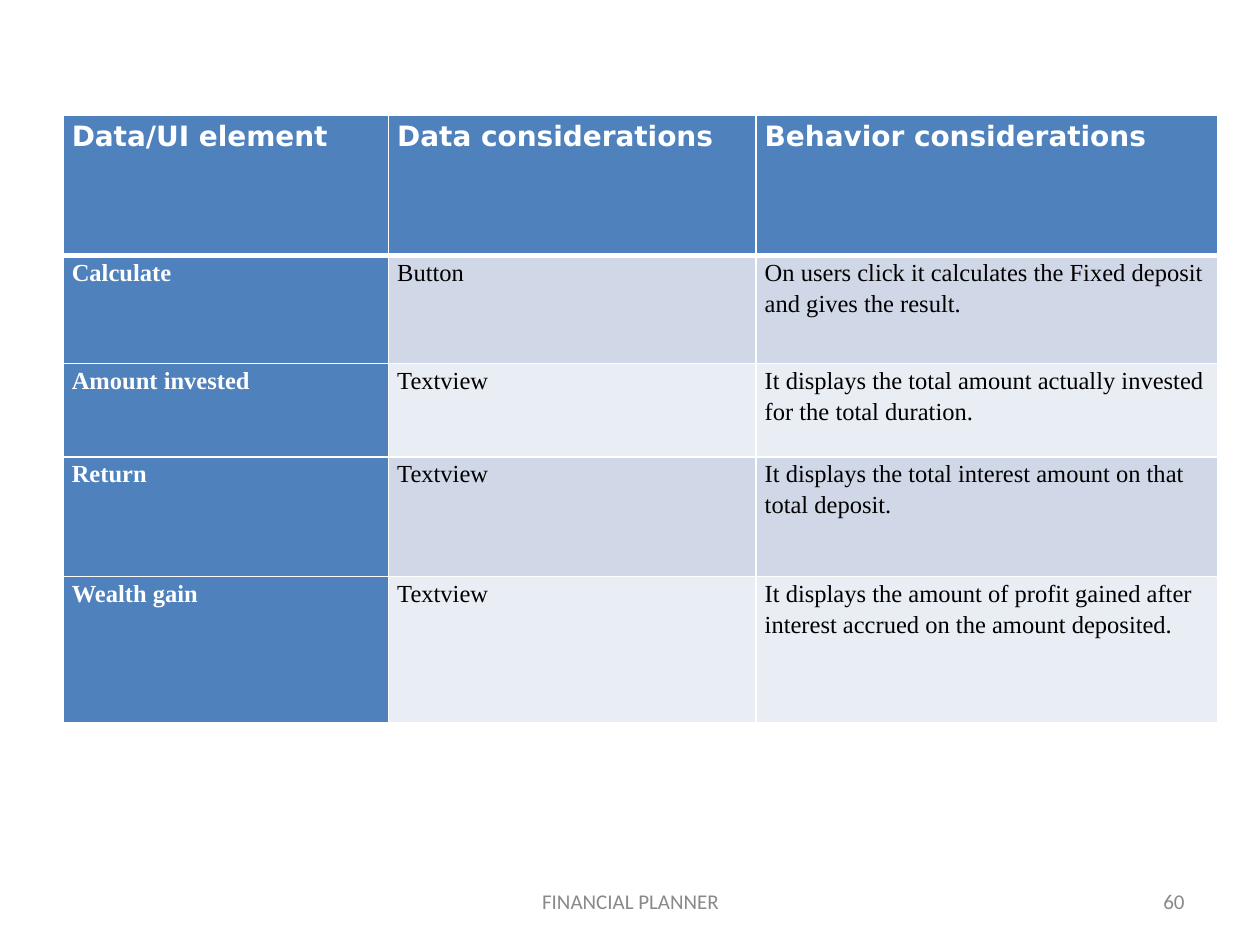
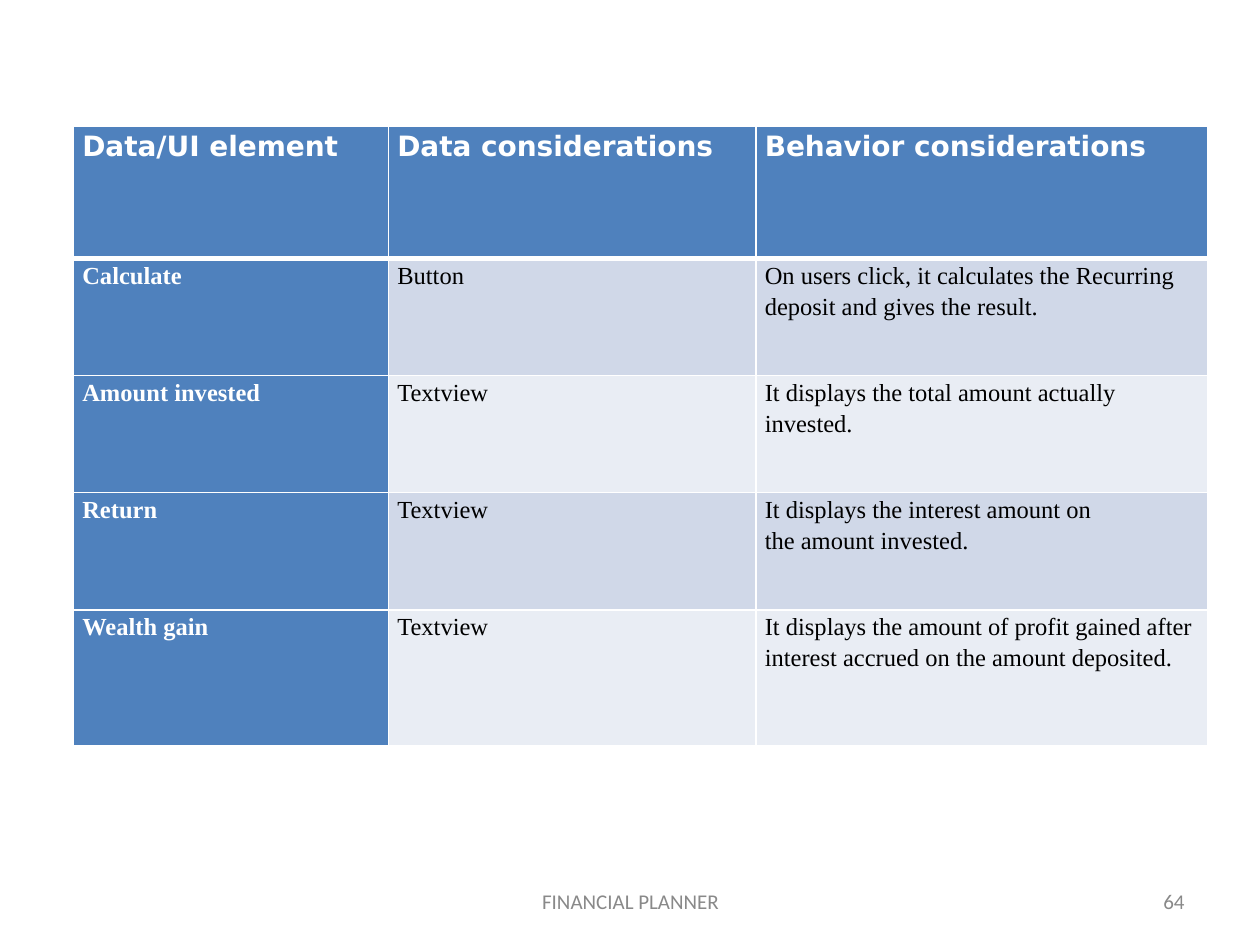
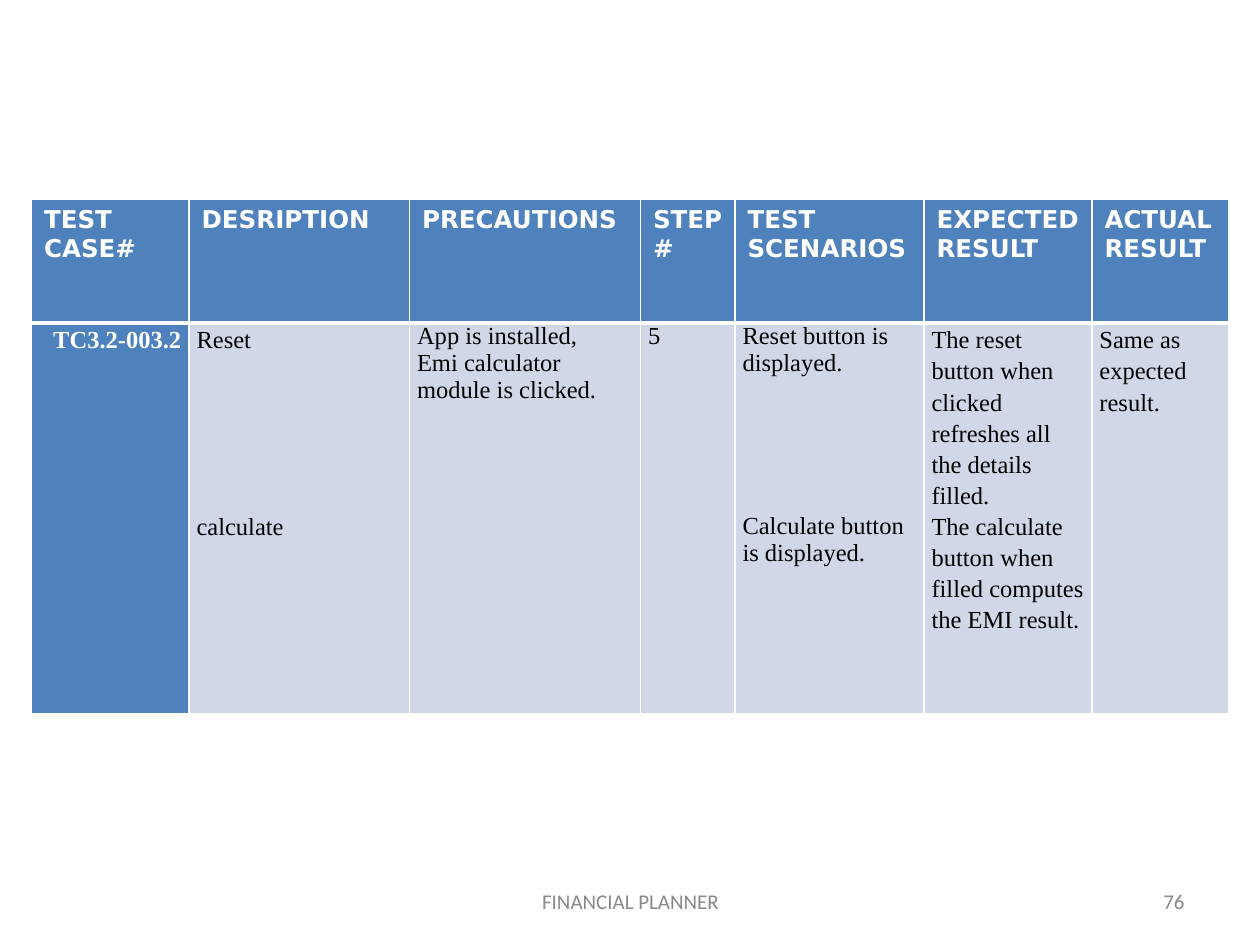
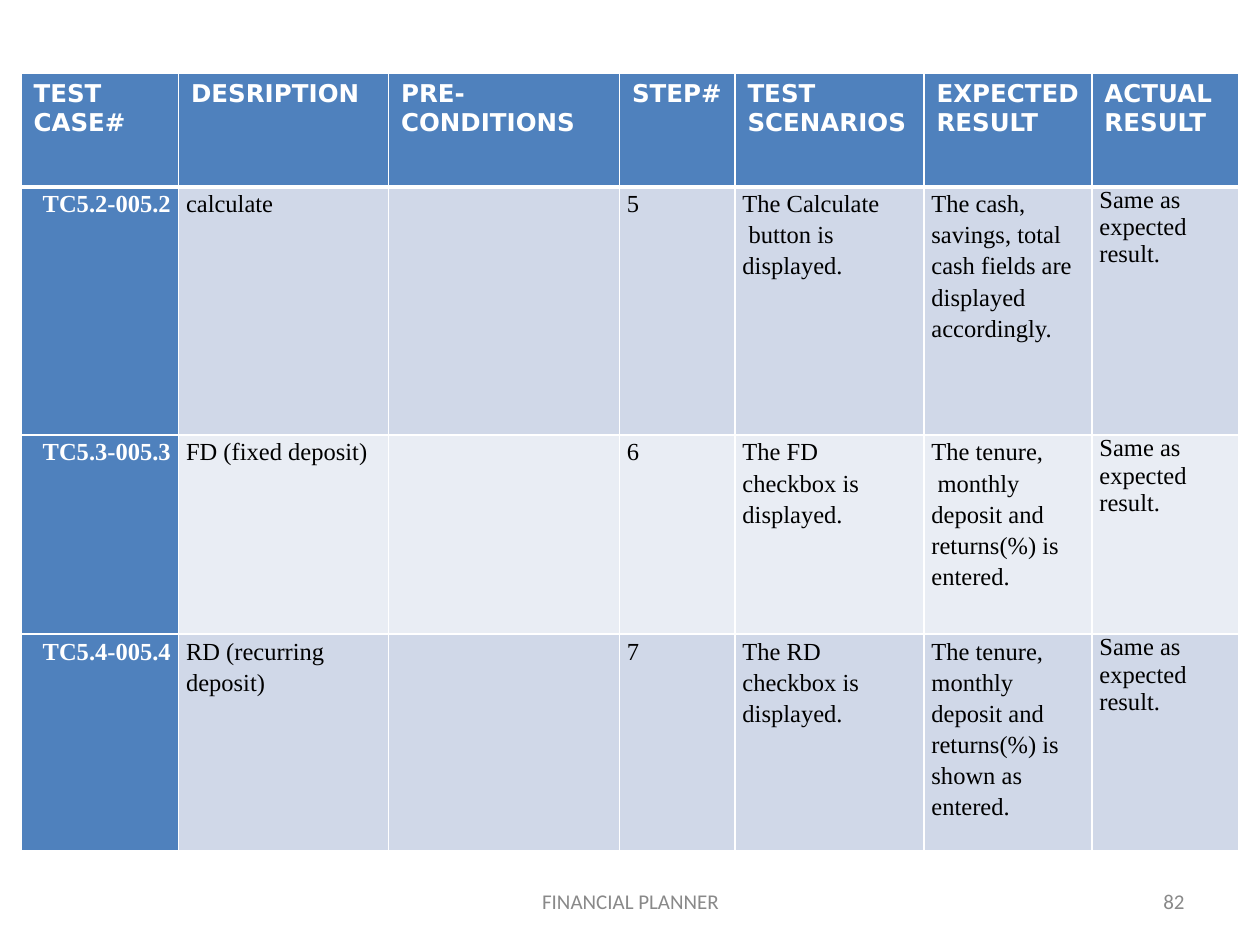
from lxml import etree
from pptx import Presentation
from pptx.dml.color import RGBColor
from pptx.enum.text import MSO_ANCHOR, PP_ALIGN
from pptx.oxml.ns import qn
from pptx.util import Inches, Pt

LEFT, CENTER, RIGHT = PP_ALIGN.LEFT, PP_ALIGN.CENTER, PP_ALIGN.RIGHT
MIDDLE = MSO_ANCHOR.MIDDLE

# Shared look
BLUE = RGBColor(0x4F, 0x81, 0xBD)
BAND_DARK = RGBColor(0xD0, 0xD8, 0xE8)
BAND_LIGHT = RGBColor(0xE9, 0xED, 0xF4)
WHITE = RGBColor(0xFF, 0xFF, 0xFF)
BLACK = RGBColor(0, 0, 0)
GRAY = RGBColor(0x89, 0x89, 0x89)

HEAD_FONT = {"name": "DejaVu Sans", "bold": True, "color": WHITE}
KEY_FONT = {"name": "Times New Roman", "size": Pt(14), "bold": True, "color": WHITE}
BODY_FONT = KEY_FONT | {"bold": False, "color": BLACK}
FOOTER_FONT = {"name": "Calibri", "size": Pt(12), "color": GRAY}

UNIT = Inches(1) / 12  # grid step for table places and columns
LOOSE = 1.15
LINE_HEIGHT = 15.5  # points taken by one 14 pt body line
FOOTER = "FINANCIAL PLANNER"

# Table kinds: inner margins, header size and key column alignment
ELEMENTS = {"margin": 0.07, "head_size": 16, "key_align": LEFT, "tight_head": True}
TESTS = {"margin": 0.06, "head_size": 14, "key_align": RIGHT, "tight_head": False}

ELEMENT_HEADS = ["Data/UI element", "Data considerations", "Behavior considerations"]
TEST_HEADS = ["STEP#", "TEST SCENARIOS", "EXPECTED RESULT", "ACTUAL RESULT"]
PROFIT = "It displays the amount of profit gained after"
ACCRUED = "interest accrued on the amount deposited."
SAME = "Same as expected result."

# Content: a list in a cell holds its paragraphs, a number in it skips lines.
# "place" and "cols" are in grid steps, "rows" in inches.
PAGES = [
    {
        "number": 60, "kind": ELEMENTS, "place": (6, 11),
        "cols": [31, 35, 44], "rows": [1.11, 0.86, 0.74, 0.95, 1.16],
        "single_spaced": [],
        "cells": [
            ELEMENT_HEADS,
            ["Calculate", "Button",
             "On users click it calculates the Fixed deposit and gives the result."],
            ["Amount invested", "Textview",
             "It displays the total amount actually invested for the total duration."],
            ["Return", "Textview",
             ["It displays the total interest amount on that", "total deposit."]],
            ["Wealth gain", "Textview", [PROFIT, ACCRUED]],
        ],
    },
    {
        "number": 64, "kind": ELEMENTS, "place": (7, 12),
        "cols": [30, 35, 43], "rows": [1.05, 0.93, 0.93, 0.93, 1.08],
        "single_spaced": [],
        "cells": [
            ELEMENT_HEADS,
            ["Calculate", "Button",
             ["On users click, it calculates the Recurring", "deposit and gives the result."]],
            ["Amount invested", "Textview",
             ["It displays the total amount actually", "invested."]],
            ["Return", "Textview",
             ["It displays the interest amount on", "the amount invested."]],
            ["Wealth gain", "Textview", f"{PROFIT} {ACCRUED}"],
        ],
    },
    {
        "number": 76, "kind": TESTS, "place": (3, 19),
        "cols": [15, 21, 22, 9, 18, 16, 13], "rows": [0.98, 3.1],
        "single_spaced": [2, 3, 4],
        "cells": [
            ["TEST CASE#", "DESRIPTION", "PRECAUTIONS", *TEST_HEADS],
            ["TC3.2-003.2",
             ["Reset", 5, "calculate"],
             ["App is installed,", "Emi calculator", "module is clicked."],
             "5",
             ["Reset button is", "displayed.", 5, "Calculate button is displayed."],
             ["The reset", "button when", "clicked", "refreshes all", "the details",
              "filled.", "The calculate", "button when", "filled computes the EMI result."],
             ["Same as", "expected", "result."]],
        ],
    },
    {
        "number": 82, "kind": TESTS, "place": (2, 7),
        "cols": [15, 20, 22, 11, 18, 16, 14], "rows": [0.9, 1.97, 1.58, 1.72],
        "single_spaced": [6],
        "cells": [
            ["TEST CASE#", "DESRIPTION", ["PRE-", "CONDITIONS"], *TEST_HEADS],
            ["TC5.2-005.2", "calculate", "", "5",
             ["The Calculate", " button is", "displayed."],
             ["The cash,", "savings, total", "cash fields are displayed", "accordingly."],
             SAME],
            ["TC5.3-005.3", "FD (fixed deposit)", "", "6",
             ["The FD", "checkbox is", "displayed."],
             ["The tenure,", " monthly", "deposit and", "returns(%) is", "entered."],
             SAME],
            ["TC5.4-005.4", "RD (recurring deposit)", "", "7",
             ["The RD", "checkbox is", "displayed."],
             ["The tenure,", "monthly", "deposit and", "returns(%) is", "shown as",
              "entered."],
             SAME],
        ],
    },
]


def set_font(font, style):
    for name, value in style.items():
        if name == "color":
            font.color.rgb = value
        else:
            setattr(font, name, value)


def write(frame, content, style, align=LEFT, spacing=None):
    """Fill a text frame with paragraphs; numbers become space before the next one."""
    skipped = 0
    para = None
    for item in content if isinstance(content, list) else [content]:
        if isinstance(item, int):
            skipped = item
            continue
        para = frame.paragraphs[0] if para is None else frame.add_paragraph()
        para.alignment = align
        if spacing:
            para.line_spacing = spacing
        if skipped:
            para.space_before = Pt(round(skipped * LINE_HEIGHT * (spacing or 1), 1))
            skipped = 0
        span = para.add_run()
        span.text = item
        set_font(span.font, style)


def set_borders(cell, bottom_width):
    """Draw white cell borders; they must come before the fill in the cell properties."""
    props = cell._tc.get_or_add_tcPr()
    widths = {"a:lnL": 1, "a:lnR": 1, "a:lnT": 1, "a:lnB": bottom_width}
    for place, (tag, width) in enumerate(widths.items()):
        line = etree.Element(qn(tag), w=str(Pt(width)))
        fill = etree.SubElement(line, qn("a:solidFill"))
        etree.SubElement(fill, qn("a:srgbClr"), val=str(WHITE))
        props.insert(place, line)


def set_margins(cell, side):
    margins = {"margin_left": side, "margin_right": side, "margin_top": 0, "margin_bottom": 0}
    for name, value in margins.items():
        setattr(cell, name, Inches(value))


def add_grid(page, spec_values):
    kind, cells = spec_values["kind"], spec_values["cells"]
    left, top = (round(steps * UNIT) for steps in spec_values["place"])
    widths = [round(steps * UNIT) for steps in spec_values["cols"]]
    heights = [Inches(height) for height in spec_values["rows"]]
    table = page.shapes.add_table(
        len(heights), len(widths), left, top, sum(widths), sum(heights)).table
    table.horz_banding = False
    for column, width in zip(table.columns, widths):
        column.width = width
    for row, height in zip(table.rows, heights):
        row.height = height

    for r, row in enumerate(cells):
        for c, content in enumerate(row):
            cell = table.cell(r, c)
            is_head, is_key = r == 0, c == 0
            band = BAND_DARK if r % 2 else BAND_LIGHT
            cell.fill.solid()
            cell.fill.fore_color.rgb = BLUE if is_head or is_key else band
            set_borders(cell, 3 if is_head else 1)
            if not content:
                continue
            tight = kind["tight_head"] or not is_head
            if tight:
                set_margins(cell, kind["margin"])
            loose = tight and c not in spec_values["single_spaced"]
            if is_head:
                style = HEAD_FONT | {"size": Pt(kind["head_size"])}
            else:
                style = KEY_FONT if is_key else BODY_FONT
            align = kind["key_align"] if is_key and not is_head else LEFT
            write(cell.text_frame, content, style, align, LOOSE if loose else None)


def add_footer(page, text, left, width, align):
    box = page.shapes.add_textbox(Inches(left), Inches(6.95), Inches(width), Inches(0.4))
    box.text_frame.word_wrap = True
    box.text_frame.vertical_anchor = MIDDLE
    write(box.text_frame, text, FOOTER_FONT, align)


def main():
    deck = Presentation()
    deck.slide_width, deck.slide_height = Inches(10), Inches(7.5)
    blank = deck.slide_layouts[6]
    for page_values in PAGES:
        page = deck.slides.add_slide(blank)
        add_grid(page, page_values)
        add_footer(page, str(page_values["number"]), 7.17, 2.33, RIGHT)
        add_footer(page, FOOTER, 3.42, 3.17, CENTER)
    deck.save("out.pptx")


if __name__ == "__main__":
    main()
